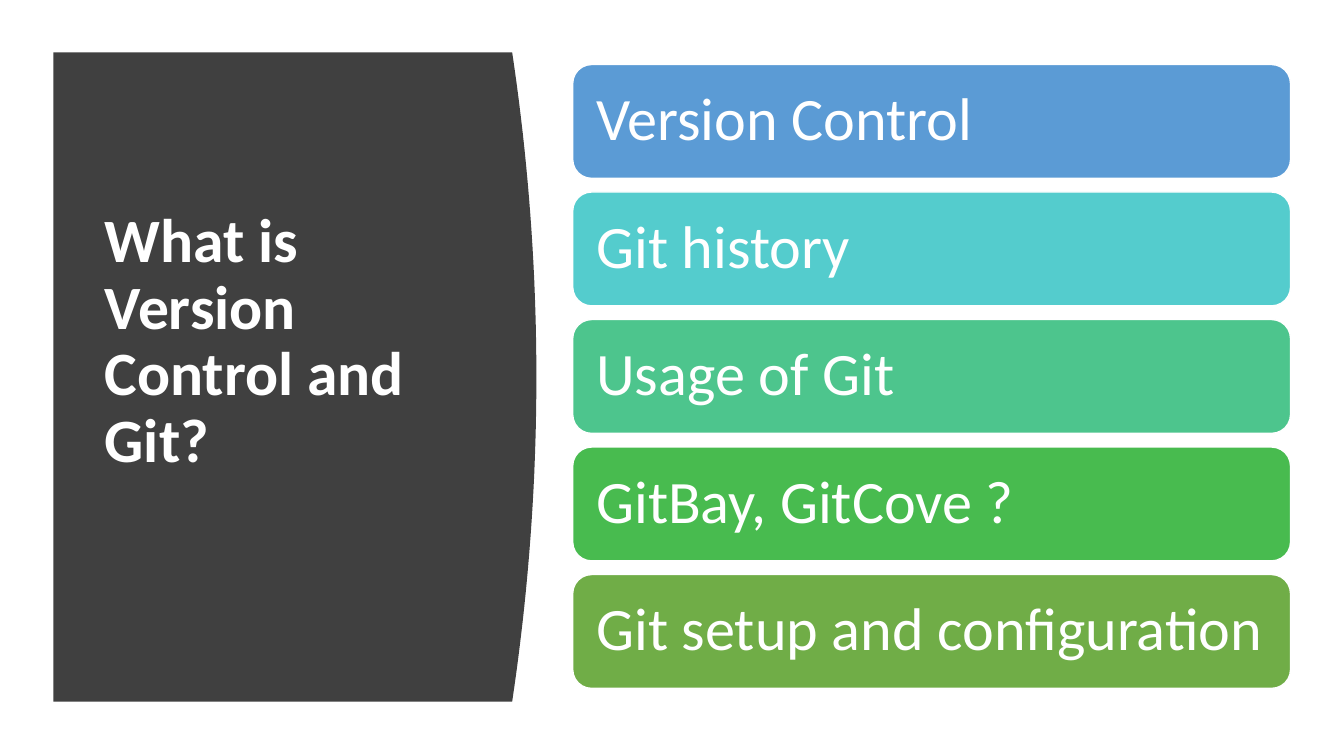
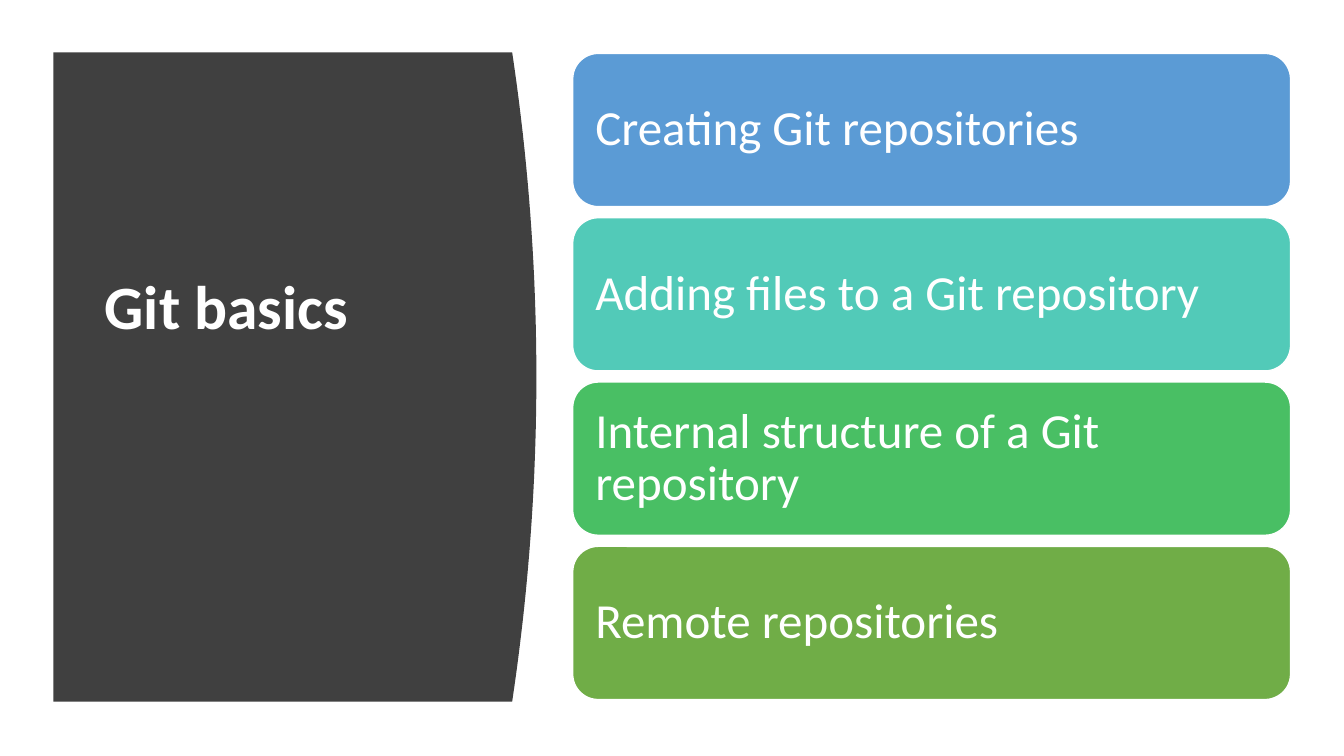
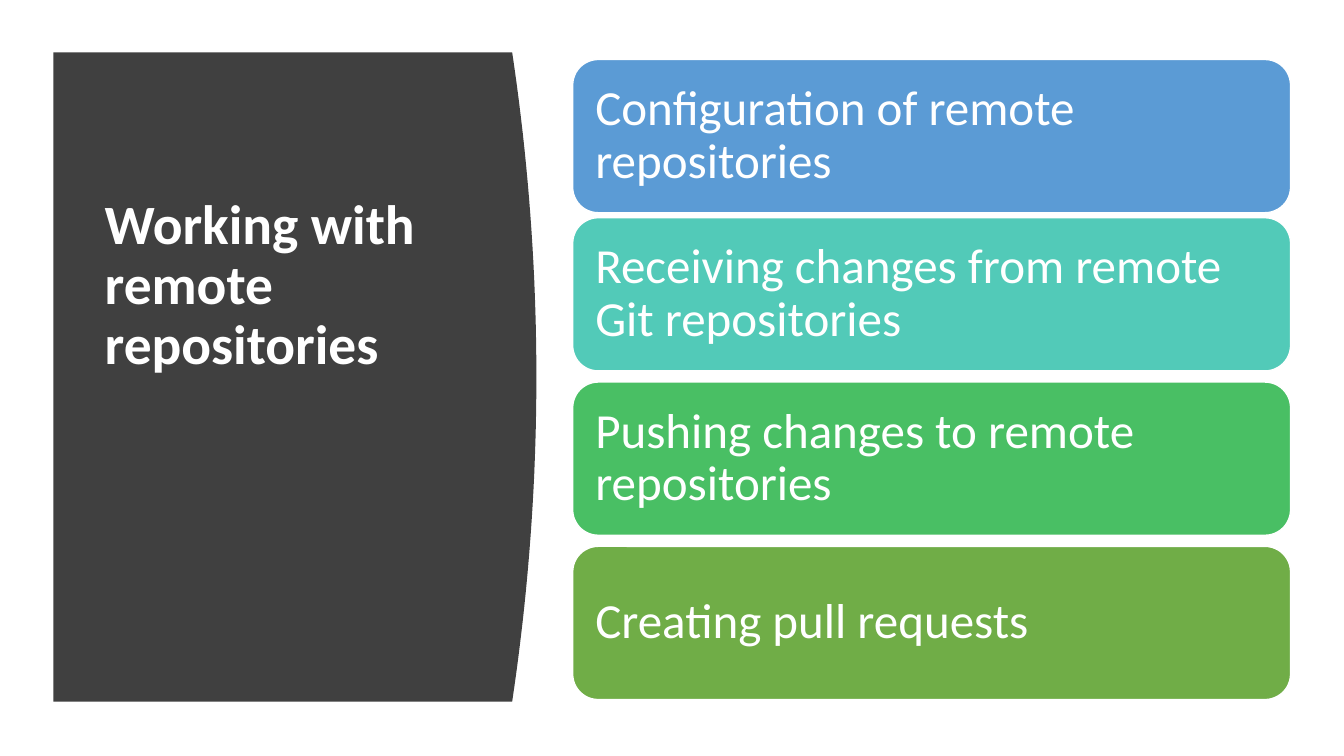
from dataclasses import dataclass

from pptx import Presentation
from pptx.dml.color import RGBColor
from pptx.enum.shapes import MSO_SHAPE
from pptx.enum.text import MSO_ANCHOR, PP_ALIGN
from pptx.slide import Slide
from pptx.text.text import TextFrame
from pptx.util import Inches, Pt

ROUNDED = MSO_SHAPE.ROUNDED_RECTANGLE
MIDDLE = MSO_ANCHOR.MIDDLE
LEFT = PP_ALIGN.LEFT


@dataclass(frozen=True)
class Theme:
    font: str = "Calibri"
    white: str = "FFFFFF"
    panel: str = "404040"
    five_colors: tuple[str, ...] = ("5B9BD5", "54CCCD", "4DC58D", "48BB4F", "70AD47")
    four_colors: tuple[str, ...] = ("5B9BD5", "52CAB8", "49BF64", "70AD47")
    title_size: float = 44
    small_title_size: float = 39.6
    large_card_size: float = 43
    card_size: float = 35
    line_spacing: float = 0.9


@dataclass(frozen=True)
class CardStyle:
    """Vertical rhythm and look of one stack of cards, in inches and points."""
    top: float
    pitch: float
    height: float
    inset: float
    size: float
    colors: tuple[str, ...]


@dataclass(frozen=True)
class Agenda:
    title: str
    topics: tuple[str, ...]
    style: CardStyle
    title_lift: float  # extra bottom inset that raises the centred title
    title_size: float
    first_shift: float = 0  # nudge of the first card


THEME = Theme()
FIVE_CARDS = CardStyle(0.64, 1.265, 1.13, 0.18, THEME.large_card_size, THEME.five_colors)
FOUR_CARDS = CardStyle(0.53, 1.63, 1.52, 0.15, THEME.card_size, THEME.four_colors)

# Panel geometry in inches
PANEL_LEFT, PANEL_TOP, PANEL_BOTTOM = 0.53, 0.52, 6.96
PANEL_EDGE, PANEL_BULGE, PANEL_STEPS = 5.08, 0.24, 40
CARD_LEFT, CARD_WIDTH = 5.68, 7.12

AGENDAS = (
    Agenda("What is Version Control and Git?",
           ("Version Control", "Git history", "Usage of Git",
            "GitBay, GitCove ?", "Git setup and configuration"),
           FIVE_CARDS, 0.66, THEME.title_size),
    Agenda("Git basics",
           ("Creating Git repositories", "Adding files to a Git repository",
            "Internal structure of a Git repository", "Remote repositories"),
           FOUR_CARDS, 1.32, THEME.title_size),
    Agenda("Working with remote repositories",
           ("Configuration of remote repositories",
            "Receiving changes from remote Git repositories",
            "Pushing changes to remote repositories", "Creating pull requests"),
           FOUR_CARDS, 1.78, THEME.small_title_size, first_shift=0.06),
)


def rgb(color: str) -> RGBColor:
    return RGBColor.from_string(color)


def write(tf: TextFrame, text: str, *, size: float, bold: bool = False,
          insets: tuple[float, float, float, float]) -> None:
    """Fill a frame with one white paragraph; insets are left, top, right, bottom."""
    tf.word_wrap = True
    tf.vertical_anchor = MIDDLE
    (tf.margin_left, tf.margin_top,
     tf.margin_right, tf.margin_bottom) = (Inches(i) for i in insets)
    p = tf.paragraphs[0]
    p.alignment = LEFT
    p.line_spacing = THEME.line_spacing
    r = p.add_run()
    r.text = text
    r.font.name = THEME.font
    r.font.size = Pt(size)
    r.font.bold = bold
    r.font.color.rgb = rgb(THEME.white)


def add_panel(s: Slide) -> None:
    """Dark panel whose right edge bows outward as a parabola."""
    half = (PANEL_BOTTOM - PANEL_TOP) / 2
    edge = []
    for i in range(PANEL_STEPS + 1):
        t = 2 * i / PANEL_STEPS - 1
        edge.append((Inches(PANEL_EDGE + PANEL_BULGE * (1 - t * t)),
                     Inches(PANEL_TOP + half * (t + 1))))
    builder = s.shapes.build_freeform(Inches(PANEL_LEFT), Inches(PANEL_TOP), scale=1.0)
    builder.add_line_segments(edge + [(Inches(PANEL_LEFT), Inches(PANEL_BOTTOM))], close=True)
    sp = builder.convert_to_shape()
    sp.shadow.inherit = False
    sp.fill.solid()
    sp.fill.fore_color.rgb = rgb(THEME.panel)
    sp.line.fill.background()


def add_title(s: Slide, agenda: Agenda) -> None:
    sp = s.shapes.add_textbox(Inches(0.94), Inches(1.11), Inches(3.74), Inches(5.24))
    write(sp.text_frame, agenda.title, size=agenda.title_size, bold=True,
          insets=(0.1, 0.05, 0.1, 0.05 + agenda.title_lift))


def add_card(s: Slide, text: str, top: float, color: str, style: CardStyle) -> None:
    sp = s.shapes.add_shape(ROUNDED, Inches(CARD_LEFT), Inches(top),
                            Inches(CARD_WIDTH), Inches(style.height))
    sp.shadow.inherit = False
    sp.fill.solid()
    sp.fill.fore_color.rgb = rgb(color)
    sp.line.color.rgb = rgb(THEME.white)
    sp.line.width = Pt(1)
    write(sp.text_frame, text, size=style.size, insets=(style.inset,) * 4)


def add_agenda(s: Slide, agenda: Agenda) -> None:
    add_panel(s)
    add_title(s, agenda)
    style = agenda.style
    for i, (topic, color) in enumerate(zip(agenda.topics, style.colors)):
        shift = agenda.first_shift if i == 0 else 0
        add_card(s, topic, style.top + i * style.pitch + shift, color, style)


# Build the deck
prs = Presentation()
prs.slide_width, prs.slide_height = Inches(13.33), Inches(7.5)
blank = prs.slide_layouts[6]
for agenda in AGENDAS:
    add_agenda(prs.slides.add_slide(blank), agenda)
prs.save("out.pptx")
